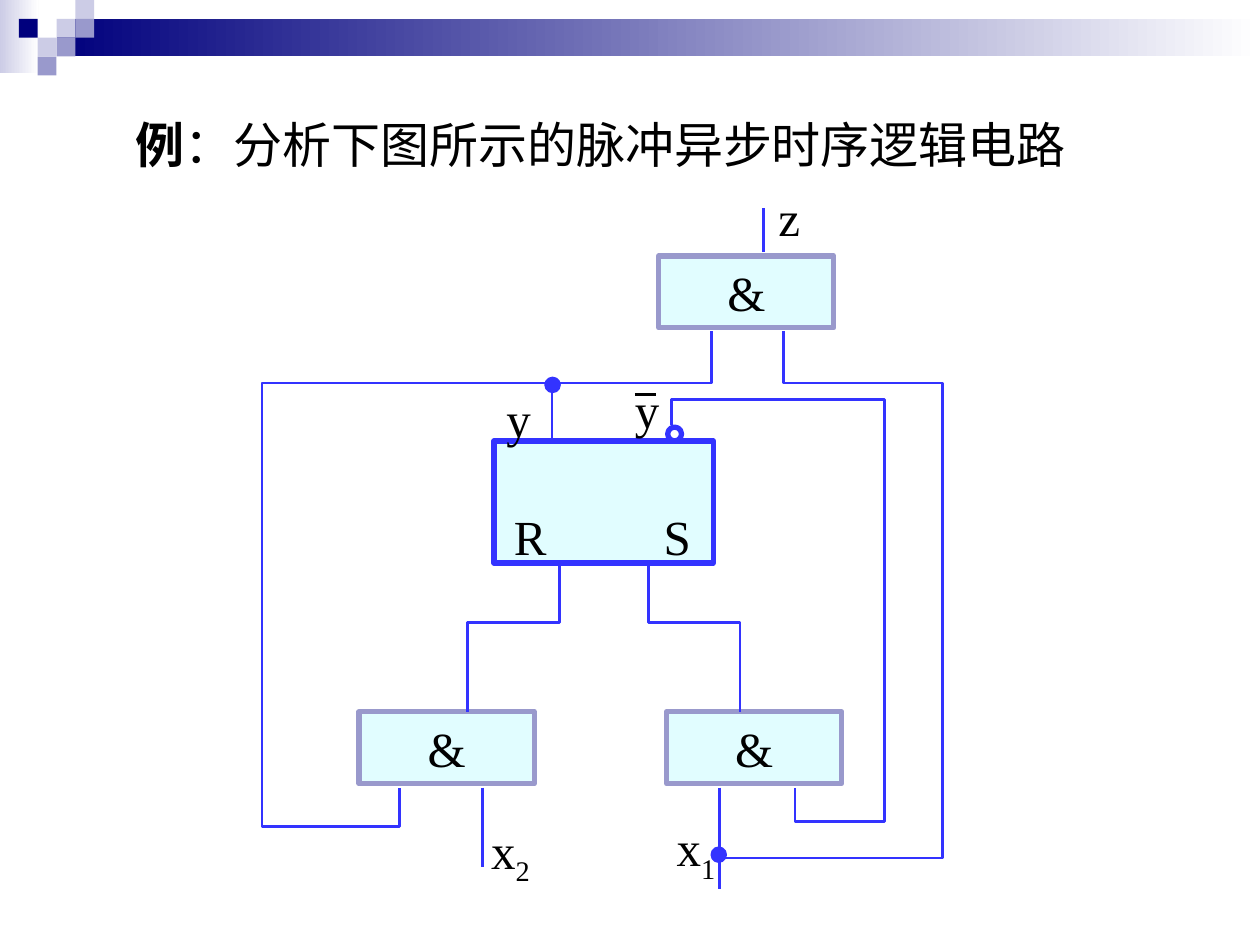
from lxml import etree
from pptx import Presentation
from pptx import util as u
from pptx.dml.color import RGBColor
from pptx.enum import shapes, text
from pptx.oxml.ns import qn

THEME = {
    "font": "Times New Roman", "size": 28, "thin": 1.5, "thick": 3,
    "ink": "000000", "wire": "3333FF", "gate": "E1FDFF", "edge": "9999CC",
    "navy": "00007D", "pale": "CCCCE6", "white": "FFFFFF",
}
INSETS = {"margin_left": u.Cm(0.25), "margin_right": u.Cm(0.25),
          "margin_top": u.Cm(0.13), "margin_bottom": u.Cm(0.13)}

TITLE = ("例", "：分析下图所示的脉冲异步时序逻辑电路")
TITLE_AREA = (2.49, 2.18, 19.25, 1.45)
BANDS = [((0, 0, 0.78, 1.48), "pale"), ((1.14, 0.38, 24.26, 0.76), "navy")]
TILE = 0.38
TILES = [(3, 1, "pale"), (4, 0, "pale"), (4, 1, "edge"), (2, 2, "pale"),
         (1, 1, "navy"), (3, 2, "edge"), (2, 3, "edge")]

GATE_SIZE = (3.53, 1.45)
GATES = [(13.28, 5.16), (7.24, 14.35), (13.44, 14.35)]
FLIP_FLOP = (9.96, 8.89, 4.42, 2.46)
DOT = 0.28
JUNCTIONS = [(14.35, 17.09), (11.0, 7.62)]
INVERTER = (13.46, 8.61)
LABELS = [
    ("z", "", 15.44, 3.66, 0.94), ("x", "2", 9.65, 16.41, 1.27),
    ("x", "1", 13.39, 16.36, 1.5), ("R", "", 10.11, 10.08, 1.17),
    ("S", "", 13.13, 10.08, 1.04), ("y", "", 9.96, 7.7, 0.99),
    ("y", "", 12.55, 7.52, 0.99),
]
LINES = [
    ((15.39, 5.08), (15.39, 4.19), "wire"),
    ((14.5, 15.88), (14.5, 17.93), "wire"),
    ((11.13, 8.84), (11.13, 7.67), "wire"),
    ((9.73, 15.88), (9.73, 17.48), "wire"),
    ((12.8, 7.95), (13.23, 7.95), "ink"),
]
WIRES = [
    [(11.28, 11.38), (11.28, 12.55), (9.42, 12.55), (9.42, 14.35)],
    [(13.08, 11.38), (13.08, 12.55), (14.92, 12.55), (14.92, 14.35)],
    [(15.8, 6.68), (15.8, 7.72), (19, 7.72), (19, 17.3), (14.55, 17.3)],
    [(14.35, 6.68), (14.35, 7.72), (5.28, 7.72), (5.28, 16.66),
     (8.05, 16.66), (8.05, 15.88)],
    [(13.54, 8.56), (13.54, 8.05), (17.83, 8.05), (17.83, 16.56),
     (16.03, 16.56), (16.03, 15.88)],
]


def cm(*values):
    return [u.Cm(value) for value in values]


def color(name):
    return RGBColor.from_string(THEME[name])


def apply(target, formats):
    for name, value in formats.items():
        setattr(target, name, value)


def stroke(line, name, width="thin"):
    line.color.rgb = color(name)
    line.width = u.Pt(THEME[width])


def add_block(page, kind, area, fill, edge=None, width="thin"):
    block = page.shapes.add_shape(kind, *cm(*area))
    block.shadow.inherit = False
    block.fill.solid()
    block.fill.fore_color.rgb = color(fill)
    if edge:
        stroke(block.line, edge, width)
    else:
        block.line.fill.background()
    return block


def write(frame, spans, align=text.PP_ALIGN.LEFT, anchor=text.MSO_ANCHOR.TOP):
    apply(frame, {**INSETS, "word_wrap": False, "vertical_anchor": anchor,
                  "auto_size": text.MSO_AUTO_SIZE.NONE})
    para = frame.paragraphs[0]
    para.alignment = align
    for content, bold, baseline in spans:
        span = para.add_run()
        span.text = content
        apply(span.font, {"name": THEME["font"], "size": u.Pt(THEME["size"]), "bold": bold})
        span.font.color.rgb = color("ink")
        if baseline:
            span._r.get_or_add_rPr().set("baseline", str(baseline))


def add_header(page):
    rectangle = shapes.MSO_SHAPE.RECTANGLE
    for area, start in BANDS:
        band = add_block(page, rectangle, area, start)
        band.fill.gradient()
        band.fill.gradient_angle = 0
        for stop, name in zip(band.fill.gradient_stops, (start, "white")):
            stop.color.rgb = color(name)
    for column, row, fill in TILES:
        add_block(page, rectangle, (column * TILE, row * TILE, TILE, TILE), fill)
    title = page.shapes.title
    apply(title, dict(zip(("left", "top", "width", "height"), cm(*TITLE_AREA))))
    write(title.text_frame, [(TITLE[0], True, 0), (TITLE[1], False, 0)])


def add_circuit(page):
    rectangle, oval = shapes.MSO_SHAPE.RECTANGLE, shapes.MSO_SHAPE.OVAL
    for place in JUNCTIONS:
        add_block(page, oval, (*place, DOT, DOT), "wire", "wire")
    add_block(page, rectangle, FLIP_FLOP, "gate", "wire", "thick")
    add_block(page, oval, (*INVERTER, DOT, DOT), "white", "wire", "thick")
    for place in GATES:
        gate = add_block(page, rectangle, (*place, *GATE_SIZE), "gate", "edge", "thick")
        write(gate.text_frame, [("&", False, 0)],
              text.PP_ALIGN.CENTER, text.MSO_ANCHOR.MIDDLE)
    for points in WIRES:
        corners = [cm(*point) for point in points]
        builder = page.shapes.build_freeform(*corners[0])
        builder.add_line_segments(corners[1:], close=False)
        wire = builder.convert_to_shape()
        wire.shadow.inherit = False
        wire.fill.background()
        stroke(wire.line, "wire")
    for start, end, name in LINES:
        line = page.shapes.add_connector(shapes.MSO_CONNECTOR.STRAIGHT, *cm(*start, *end))
        stroke(line.line, name)
        etree.SubElement(line._element.spPr, qn("a:effectLst"))
    for name, index, left, top, width in LABELS:
        box = page.shapes.add_textbox(*cm(left, top, width, 1.6 if index else 1.45))
        spans = [(name, False, 0)]
        if index:
            spans.append((index, False, -25000))
        write(box.text_frame, spans)


def main():
    deck = Presentation()
    deck.slide_width, deck.slide_height = cm(25.4, 19.05)
    page = deck.slides.add_slide(deck.slide_layouts.get_by_name("Title Only"))
    add_header(page)
    add_circuit(page)
    deck.save("out.pptx")


if __name__ == "__main__":
    main()
